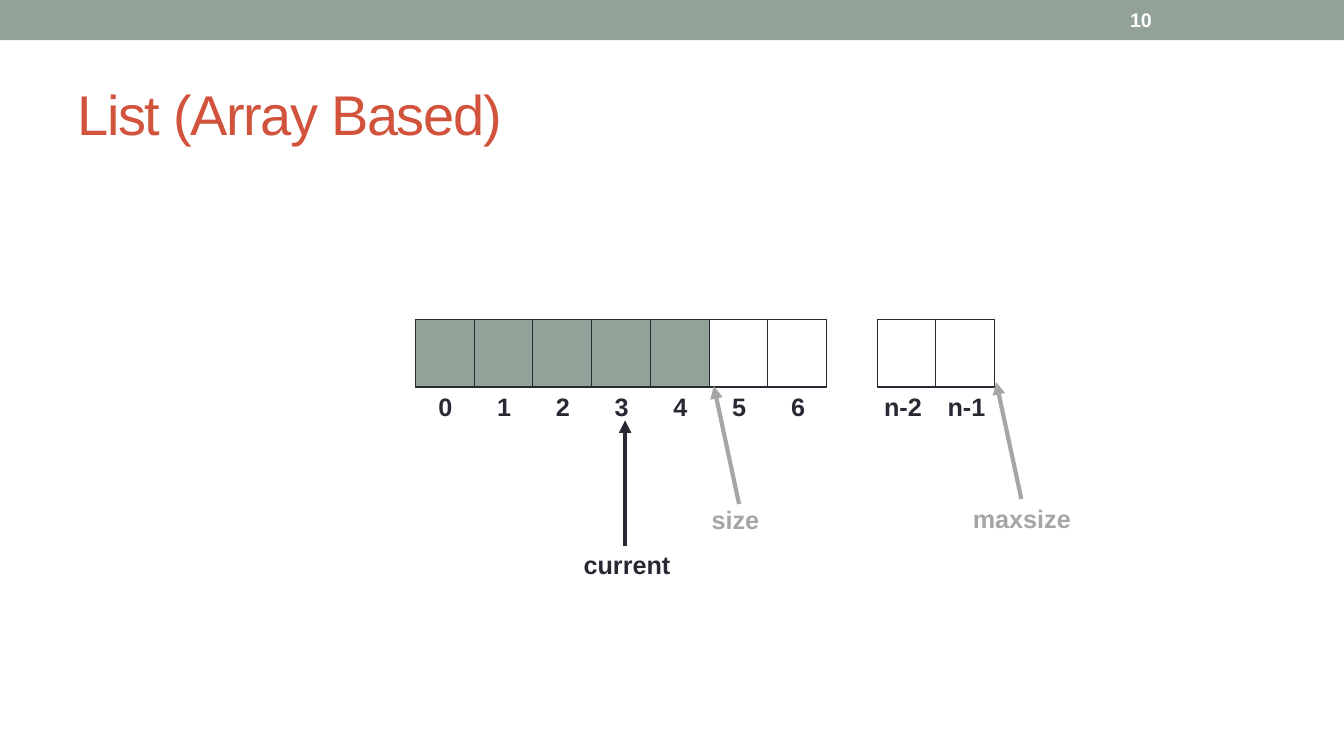
from pptx import Presentation
from pptx.dml.color import RGBColor
from pptx.enum.shapes import MSO_CONNECTOR, MSO_SHAPE
from pptx.enum.text import MSO_ANCHOR
from pptx.oxml.ns import qn
from pptx.util import Inches, Pt
from lxml import etree

SAGE = RGBColor(0x93, 0xA2, 0x99)
RED = RGBColor(0xD2, 0x53, 0x3C)
INK = RGBColor(0x29, 0x29, 0x34)
GREY = RGBColor(0xA6, 0xA6, 0xA6)
WHITE = RGBColor(0xFF, 0xFF, 0xFF)
RECTANGLE = MSO_SHAPE.RECTANGLE
STRAIGHT = MSO_CONNECTOR.STRAIGHT
TOP, MIDDLE = MSO_ANCHOR.TOP, MSO_ANCHOR.MIDDLE

deck = Presentation()
deck.slide_width, deck.slide_height = Inches(13.33), Inches(7.5)
page = deck.slides.add_slide(deck.slide_layouts[6])


def add_text(text, left, top, width, height, color, size=18, bold=True, anchor=TOP, wrap=True):
    box = page.shapes.add_textbox(Inches(left), Inches(top), Inches(width), Inches(height))
    frame = box.text_frame
    frame.word_wrap = wrap
    frame.vertical_anchor = anchor
    para = frame.paragraphs[0]
    para.text = text
    para.font.name = "Arial"
    para.font.size = Pt(size)
    para.font.bold = bold
    para.font.color.rgb = color
    return para


def add_rectangle(left, top, width, height, fill=None, line=None):
    box = page.shapes.add_shape(RECTANGLE, Inches(left), Inches(top), Inches(width), Inches(height))
    box.shadow.inherit = False
    if fill is None:
        box.fill.background()
    else:
        box.fill.solid()
        box.fill.fore_color.rgb = fill
    if line is None:
        box.line.fill.background()
    else:
        box.line.color.rgb = line
        box.line.width = Pt(0.75)


# Header band, title and slide number
add_rectangle(0, 0, 13.33, 0.4, fill=SAGE)
title = add_text("List (Array Based)", 0.67, 0.58, 12, 1.08, RED, size=40, bold=False, anchor=MIDDLE)
title.runs[0].font._element.set("spc", "-100")
add_text("10", 11.11, 0.02, 1.56, 0.36, WHITE, size=14, anchor=MIDDLE)

# Array cells: the first five are in use, and a gap precedes the last two
CELL_WIDTH, CELL_HEIGHT = 4.08 / 7, 0.67
CELL_TOP, LABEL_TOP = 3.17, 3.83
FIRST_LEFT, LAST_LEFT = 4.12, 8.7
USED_CELLS = 5

for index in range(7):
    left = FIRST_LEFT + index * CELL_WIDTH
    fill = SAGE if index < USED_CELLS else None
    add_rectangle(left, CELL_TOP, CELL_WIDTH, CELL_HEIGHT, fill, INK)
    add_text(str(index), left + 0.13, LABEL_TOP, 0.34, 0.4, INK, wrap=False)

for index, (label, label_left) in enumerate([("n-2", 8.67), ("n-1", 9.3)]):
    add_rectangle(LAST_LEFT + index * CELL_WIDTH, CELL_TOP, CELL_WIDTH, CELL_HEIGHT, line=INK)
    add_text(label, label_left, LABEL_TOP, 0.67, 0.4, INK, wrap=False)

# Pointers: name, text box, arrow tip, arrow end, colour
pointers = [
    ("current", (5.69, 5.4, 1.1, 0.4), (6.2, 4.17), (6.2, 5.42), INK),
    ("size", (6.96, 4.95, 0.76, 0.4), (7.08, 3.83), (7.33, 5), GREY),
    ("maxsize", (9.55, 4.94, 1.31, 0.4), (9.88, 3.79), (10.13, 4.95), GREY),
]
for name, area, tip, end, color in pointers:
    arrow = page.shapes.add_connector(STRAIGHT, *map(Inches, tip + end))
    arrow.line.color.rgb = color
    arrow.line.width = Pt(3)
    etree.SubElement(arrow.line._get_or_add_ln(), qn("a:headEnd"), type="triangle")
    etree.SubElement(arrow._element.spPr, qn("a:effectLst"))
    add_text(name, *area, color)

deck.save("out.pptx")
